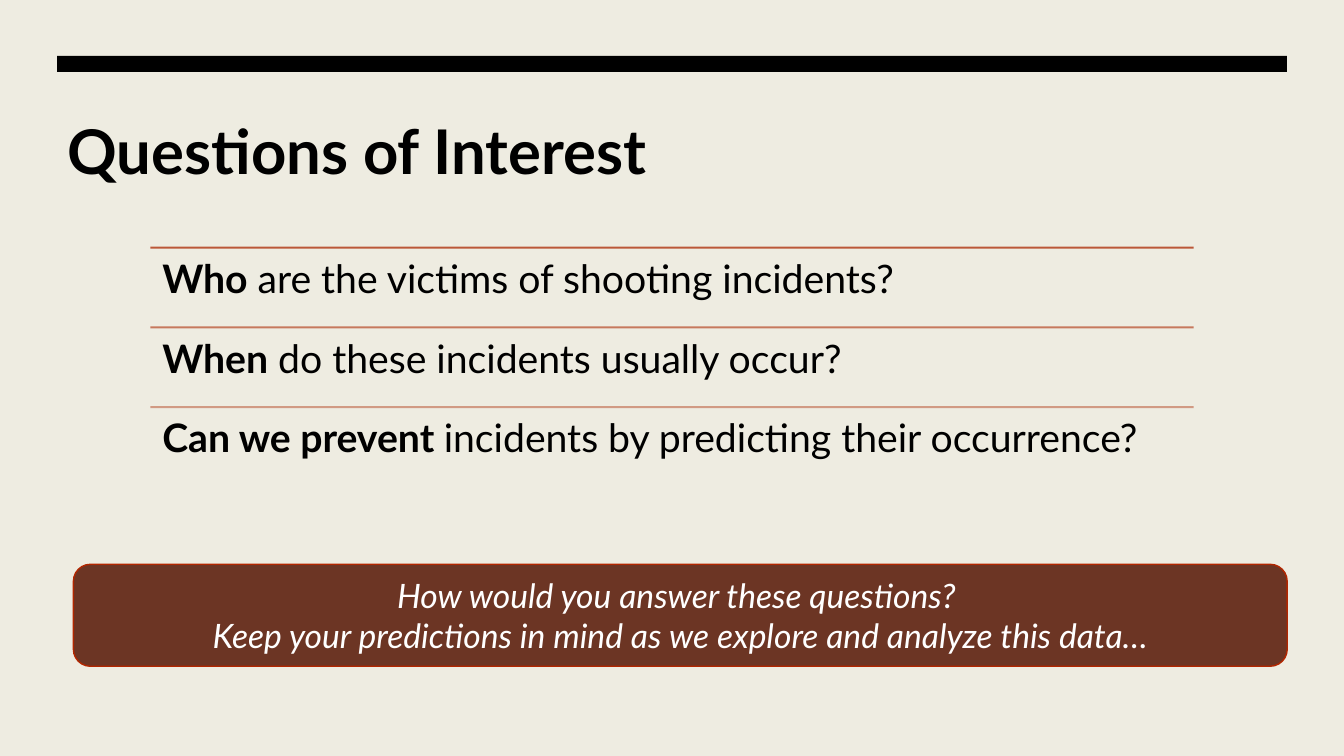
from lxml.etree import SubElement
from pptx import Presentation
from pptx.dml.color import RGBColor
from pptx.enum.shapes import MSO_CONNECTOR, MSO_SHAPE
from pptx.enum.text import MSO_ANCHOR, PP_ALIGN
from pptx.oxml.ns import qn
from pptx.util import Cm, Pt


def rgb(color):
    return RGBColor.from_string(color)


class SlideBuilder:
    FONT = "Lato"
    BACKGROUND = "EEECE1"
    INK = "000000"
    WHITE = "FFFFFF"
    RULE = "B64926"
    PANEL = "6C3524"
    PANEL_EDGE = "B22600"

    def __init__(self, prs):
        self.s = prs.slides.add_slide(prs.slide_layouts[6])
        fill = self.s.background.fill
        fill.solid()
        fill.fore_color.rgb = rgb(self.BACKGROUND)

    def run(self, p, text, size, color, bold=False, italic=False):
        r = p.add_run()
        r.text = text
        r.font.name = self.FONT
        r.font.size = Pt(size)
        r.font.color.rgb = rgb(color)
        r.font.bold = bold
        r.font.italic = italic

    def box(self, kind, x, y, w, h, fill, edge=None):
        sp = self.s.shapes.add_shape(kind, Cm(x), Cm(y), Cm(w), Cm(h))
        sp.shadow.inherit = False
        sp.fill.solid()
        sp.fill.fore_color.rgb = rgb(fill)
        if edge:
            sp.line.color.rgb = rgb(edge)
            sp.line.width = Pt(1)
        else:
            sp.line.fill.background()
        return sp

    def text(self, x, y, w, h, parts, size, inset=None, spacing=None):
        """Add one top-anchored line of text from (text, bold) parts."""
        tf = self.s.shapes.add_textbox(Cm(x), Cm(y), Cm(w), Cm(h)).text_frame
        tf.word_wrap = True
        tf.vertical_anchor = MSO_ANCHOR.TOP
        if inset is not None:
            tf.margin_left = tf.margin_right = Cm(inset)
            tf.margin_top = tf.margin_bottom = Cm(inset)
        p = tf.paragraphs[0]
        p.line_spacing = spacing
        for text, bold in parts:
            self.run(p, text, size, self.INK, bold=bold)

    def rule(self, x, y, w, opacity):
        """Add a horizontal line with its opacity in percent."""
        line = self.s.shapes.add_connector(
            MSO_CONNECTOR.STRAIGHT, Cm(x), Cm(y), Cm(x + w), Cm(y))
        line.line.width = Pt(1.5)
        line.line.color.rgb = rgb(self.RULE)
        spPr = line._element.spPr
        color = spPr.find(".//" + qn("a:srgbClr"))
        SubElement(color, qn("a:alpha")).set("val", str(opacity * 1000))
        SubElement(spPr, qn("a:effectLst"))

    def panel(self, x, y, w, h, lines):
        sp = self.box(MSO_SHAPE.ROUNDED_RECTANGLE, x, y, w, h,
                      self.PANEL, self.PANEL_EDGE)
        tf = sp.text_frame
        tf.word_wrap = True
        tf.vertical_anchor = MSO_ANCHOR.MIDDLE
        for i, text in enumerate(lines):
            p = tf.add_paragraph() if i else tf.paragraphs[0]
            p.alignment = PP_ALIGN.CENTER
            self.run(p, text, 24, self.WHITE, italic=True)


QUESTIONS = [
    ("Who", " are the victims of shooting incidents?"),
    ("When", " do these incidents usually occur?"),
    ("Can we prevent ", "incidents by predicting their occurrence?"),
]


def main():
    prs = Presentation()
    prs.slide_width, prs.slide_height = Cm(33.87), Cm(19.05)
    slide = SlideBuilder(prs)

    slide.box(MSO_SHAPE.RECTANGLE, 1.44, 1.41, 30.99, 0.4, slide.INK)
    slide.text(1.45, 2.72, 30.98, 4.06, [("Questions of Interest", True)], 44)

    left, top, width, pitch = 3.79, 6.24, 26.29, 2.01
    for i, (lead, rest) in enumerate(QUESTIONS):
        y = top + i * pitch
        slide.rule(left, y, width, 90 - 20 * i)
        slide.text(left, y, width, pitch, [(lead, True), (rest, False)], 28,
                   inset=0.3, spacing=0.9)

    slide.panel(1.85, 14.22, 30.59, 2.57, [
        "How would you answer these questions? ",
        "Keep your predictions in mind as we explore and analyze this data…",
    ])
    prs.save("out.pptx")


if __name__ == "__main__":
    main()
